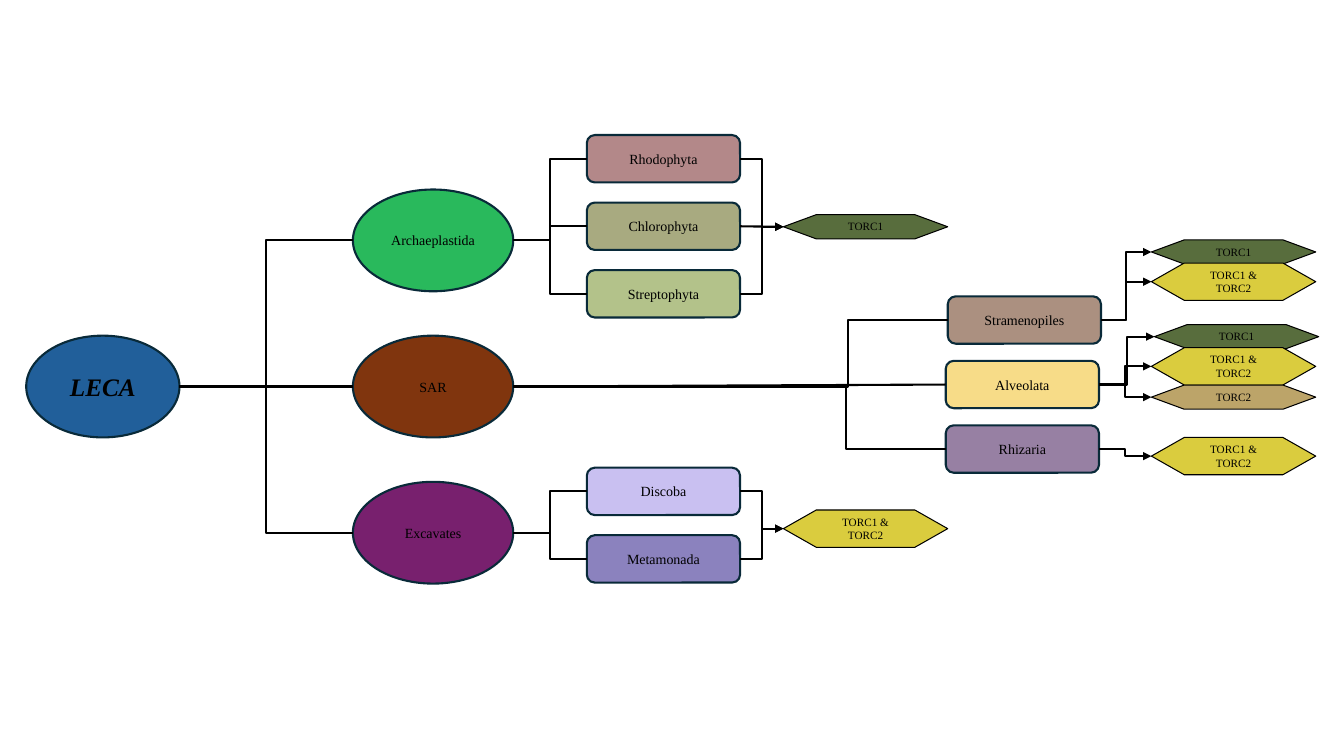
from lxml import etree
from pptx import Presentation
from pptx.dml.color import RGBColor
from pptx.enum.shapes import MSO_CONNECTOR, MSO_SHAPE
from pptx.enum.text import MSO_ANCHOR, PP_ALIGN
from pptx.oxml.ns import qn
from pptx.util import Inches, Pt

OVAL = MSO_SHAPE.OVAL
ROUND = MSO_SHAPE.ROUNDED_RECTANGLE
HEX = MSO_SHAPE.FLOWCHART_PREPARATION
ELBOW, STRAIGHT = MSO_CONNECTOR.ELBOW, MSO_CONNECTOR.STRAIGHT
MIDDLE, TOP = MSO_ANCHOR.MIDDLE, MSO_ANCHOR.TOP
CENTER = PP_ALIGN.CENTER

FONT = "Times New Roman"
BLACK = RGBColor(0x00, 0x00, 0x00)
NAVY = RGBColor(0x09, 0x2A, 0x39)
BLUE = RGBColor(0x21, 0x5F, 0x9A)

# Supergroups: name, colour
SUPERS = [
    ("Archaeplastida", RGBColor(0x29, 0xB9, 0x5C)),
    ("SAR", RGBColor(0x80, 0x35, 0x0E)),
    ("Excavates", RGBColor(0x78, 0x20, 0x6E)),
]

# Clades of each supergroup: top, step, (name, left, colour)
CLADES = {
    "Archaeplastida": (1.34, 0.67, [
        ("Rhodophyta", 5.82, RGBColor(0xB3, 0x88, 0x89)),
        ("Chlorophyta", 5.82, RGBColor(0xA8, 0xAA, 0x80)),
        ("Streptophyta", 5.82, RGBColor(0xB3, 0xC2, 0x8A)),
    ]),
    "SAR": (2.94, 0.64, [
        ("Stramenopiles", 9.4, RGBColor(0xAB, 0x90, 0x80)),
        ("Alveolata", 9.38, RGBColor(0xF7, 0xDC, 0x88)),
        ("Rhizaria", 9.38, RGBColor(0x97, 0x80, 0xA3)),
    ]),
    "Excavates": (4.64, 0.67, [
        ("Discoba", 5.82, RGBColor(0xC9, 0xC0, 0xF1)),
        ("Metamonada", 5.82, RGBColor(0x8B, 0x82, 0xBE)),
    ]),
}

# Complexes: text -> height, colour
KINDS = {
    "TORC1": (0.24, RGBColor(0x58, 0x6D, 0x3D)),
    "TORC2": (0.24, RGBColor(0xBC, 0xA4, 0x69)),
    "TORC1 & TORC2": (0.37, RGBColor(0xDA, 0xCC, 0x3E)),
}

# Findings: text, left, top, clades that have it
FOUND = [
    ("TORC1", 7.77, 2.13, ["Rhodophyta", "Chlorophyta", "Streptophyta"]),
    ("TORC1 & TORC2", 7.77, 5.06, ["Discoba", "Metamonada"]),
    ("TORC1", 11.42, 2.38, ["Stramenopiles"]),
    ("TORC1 & TORC2", 11.42, 2.61, ["Stramenopiles"]),
    ("TORC1", 11.45, 3.22, ["Alveolata"]),
    ("TORC1 & TORC2", 11.42, 3.45, ["Alveolata"]),
    ("TORC2", 11.42, 3.82, ["Alveolata"]),
    ("TORC1 & TORC2", 11.42, 4.34, ["Rhizaria"]),
]

# Links drawn straight, and where the SAR links bend
DIRECT = {("SAR", "Alveolata"), ("Chlorophyta", "TORC1")}
BENDS = {"SAR": 0.77}

prs = Presentation()
prs.slide_width, prs.slide_height = Inches(13.33), Inches(7.5)
slide = prs.slides.add_slide(prs.slide_layouts[6])


def add_node(kind, text, box, fill, size=10, edge=NAVY, width=1.5,
             anchor=MIDDLE):
    node = slide.shapes.add_shape(kind, *map(Inches, box))
    node.shadow.inherit = False
    node.fill.solid()
    node.fill.fore_color.rgb = fill
    node.line.color.rgb = edge
    node.line.width = Pt(width)
    frame = node.text_frame
    frame.word_wrap = True
    frame.vertical_anchor = anchor
    para = frame.paragraphs[0]
    para.text = text
    para.alignment = CENTER
    para.font.name = FONT
    para.font.size = Pt(size)
    para.font.color.rgb = BLACK
    return node


def add_link(start, end, bend=0.5, arrow=False):
    names = start.text_frame.text, end.text_frame.text
    direct = names in DIRECT
    link = slide.shapes.add_connector(
        STRAIGHT if direct else ELBOW,
        start.left + start.width, start.top + start.height // 2,
        end.left, end.top + end.height // 2)
    link.line.color.rgb = BLACK
    link.line.width = Pt(1.5)
    props = link._element.spPr
    etree.SubElement(props, qn("a:effectLst"))
    if arrow:
        etree.SubElement(link.line._get_or_add_ln(), qn("a:tailEnd"),
                         type="triangle")
    if direct:
        if start.auto_shape_type == ROUND:
            link.begin_connect(start, 3)
        end_side = 1
        link.end_connect(end, end_side)
    elif bend != 0.5:
        guides = props.find(qn("a:prstGeom")).find(qn("a:avLst"))
        etree.SubElement(guides, qn("a:gd"), name="adj1",
                         fmla=f"val {round(bend * 100000)}")


# Root
root = add_node(OVAL, "LECA", (0.26, 3.33, 1.52, 1.01), BLUE, size=18)
root.text_frame.paragraphs[0].font.bold = True
root.text_frame.paragraphs[0].font.italic = True

# Supergroups and their clades
nodes = {}
for row, (name, fill) in enumerate(SUPERS):
    group = add_node(OVAL, name, (3.5, 1.88 + 1.45 * row, 1.59, 1.01), fill)
    add_link(root, group)
    top, step, clades = CLADES[name]
    for i, (clade, left, tint) in enumerate(clades):
        nodes[clade] = add_node(
            ROUND, clade, (left, top + step * i, 1.52, 0.47), tint)
        add_link(group, nodes[clade], BENDS.get(name, 0.5))

# Complexes found in each clade
for text, left, top, owners in FOUND:
    high, fill = KINDS[text]
    found = add_node(HEX, text, (left, top, 1.63, high), fill, size=8,
                     edge=BLACK, width=0.75, anchor=TOP)
    for owner in owners:
        add_link(nodes[owner], found, arrow=True)

prs.save("out.pptx")
